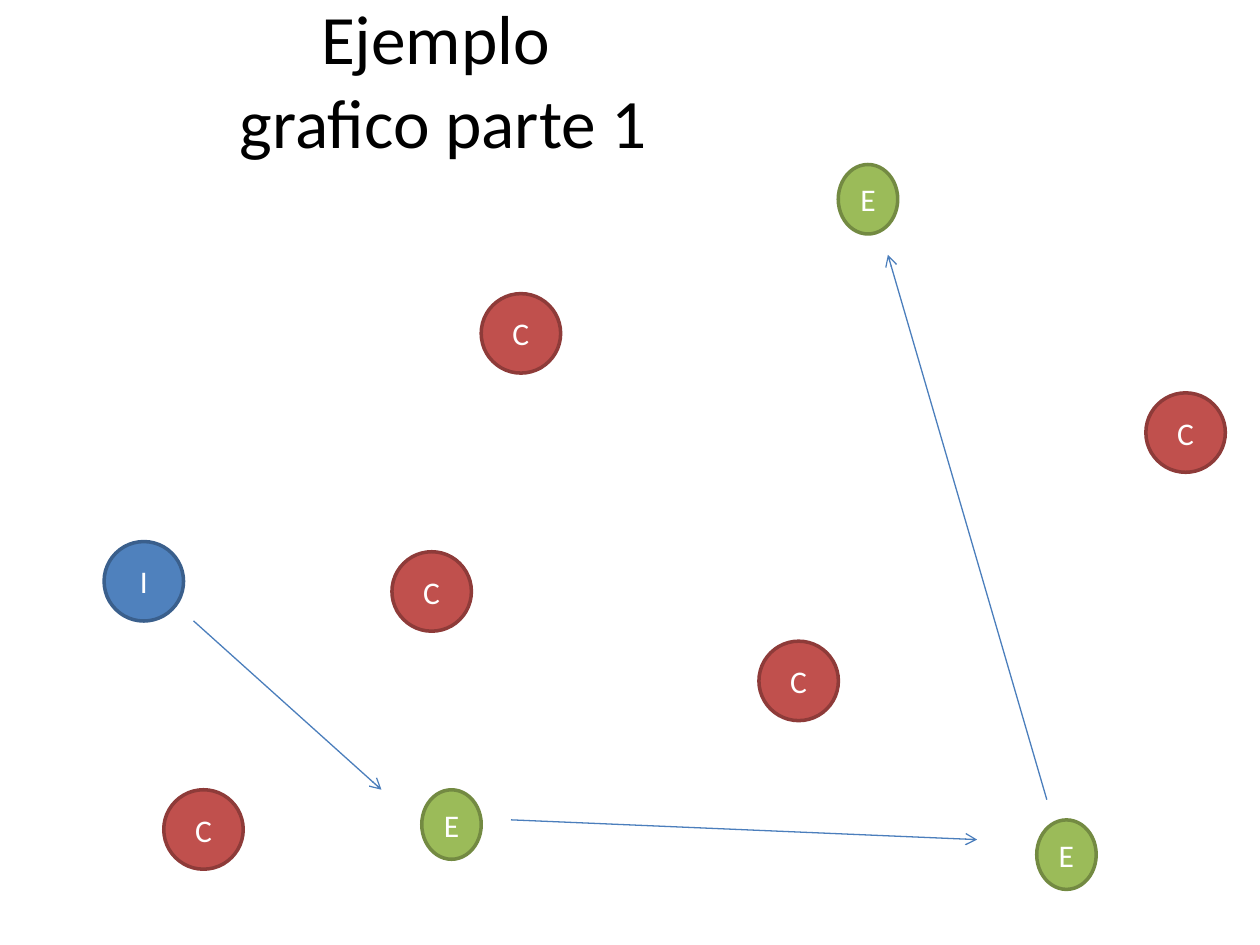
from lxml import etree
from pptx import Presentation
from pptx.dml.color import RGBColor
from pptx.enum.shapes import MSO_CONNECTOR, MSO_SHAPE
from pptx.enum.text import MSO_ANCHOR, MSO_AUTO_SIZE, PP_ALIGN
from pptx.oxml.ns import qn
from pptx.util import Pt

STRAIGHT = MSO_CONNECTOR.STRAIGHT
OVAL = MSO_SHAPE.OVAL
MIDDLE = MSO_ANCHOR.MIDDLE
NO_FIT = MSO_AUTO_SIZE.NONE
CENTER = PP_ALIGN.CENTER

COLORS = {
    "title": "000000", "label": "FFFFFF", "arrow": "4B7EBC",
    "I": "4F81BD", "I_edge": "3A5F8C",
    "E": "9BBB59", "E_edge": "738A42",
    "C": "C0504D", "C_edge": "8E3B39",
}
NODE_SIZES = {"I": (45.4, 45.4), "E": (34, 39.7), "C": (45.4, 45.4)}
NODES = {
    "I": [(59.5, 309.5)],
    "E": [(241, 451.3), (479, 94), (592.4, 468.5)],
    "C": [(224, 315.3), (93.6, 451.3), (654.8, 224.5), (433.7, 366.4), (275, 167.8)],
}
ROUTE = [
    ((110.6, 354.8), (218, 451.3)),
    ((292, 468.5), (558.4, 479.8)),
    ((598.2, 457), (507.4, 145.6)),
]


def color(key):
    return RGBColor.from_string(COLORS[key])


def style_text(paragraph, size, key):
    paragraph.alignment = CENTER
    paragraph.font.name = "Calibri"
    paragraph.font.size = Pt(size)
    paragraph.font.color.rgb = color(key)


def add_title(slide, left, top, width, height):
    title = slide.shapes.title
    title.left, title.top = Pt(left), Pt(top)
    title.width, title.height = Pt(width), Pt(height)
    frame = title.text_frame
    frame.text = "Ejemplo \vgrafico parte 1"
    frame.auto_size = NO_FIT
    frame.vertical_anchor = MIDDLE
    style_text(frame.paragraphs[0], 39.6, "title")


def add_node(slide, letter, left, top):
    width, height = NODE_SIZES[letter]
    node = slide.shapes.add_shape(OVAL, Pt(left), Pt(top), Pt(width), Pt(height))
    node.shadow.inherit = False
    node.fill.solid()
    node.fill.fore_color.rgb = color(letter)
    node.line.color.rgb = color(letter + "_edge")
    node.line.width = Pt(2)
    node.text_frame.text = letter
    node.text_frame.vertical_anchor = MIDDLE
    style_text(node.text_frame.paragraphs[0], 18, "label")


def add_arrow(slide, start, end):
    arrow = slide.shapes.add_connector(STRAIGHT, *(Pt(v) for v in start + end))
    arrow.line.color.rgb = color("arrow")
    arrow.line.width = Pt(0.75)
    etree.SubElement(arrow.line._get_or_add_ln(), qn("a:tailEnd"), type="arrow")
    etree.SubElement(arrow._element.spPr, qn("a:effectLst"))


def add_graph(slide, left, top):
    for letter, corners in NODES.items():
        for x, y in corners:
            add_node(slide, letter, left + x, top + y)
    for start, end in ROUTE:
        add_arrow(slide, (left + start[0], top + start[1]), (left + end[0], top + end[1]))


deck = Presentation()
deck.slide_width, deck.slide_height = Pt(720), Pt(540)
example = deck.slides.add_slide(deck.slide_layouts[5])
add_title(example, -70.6, 0, 648, 90)
add_graph(example, 0, 0)
deck.save("out.pptx")
